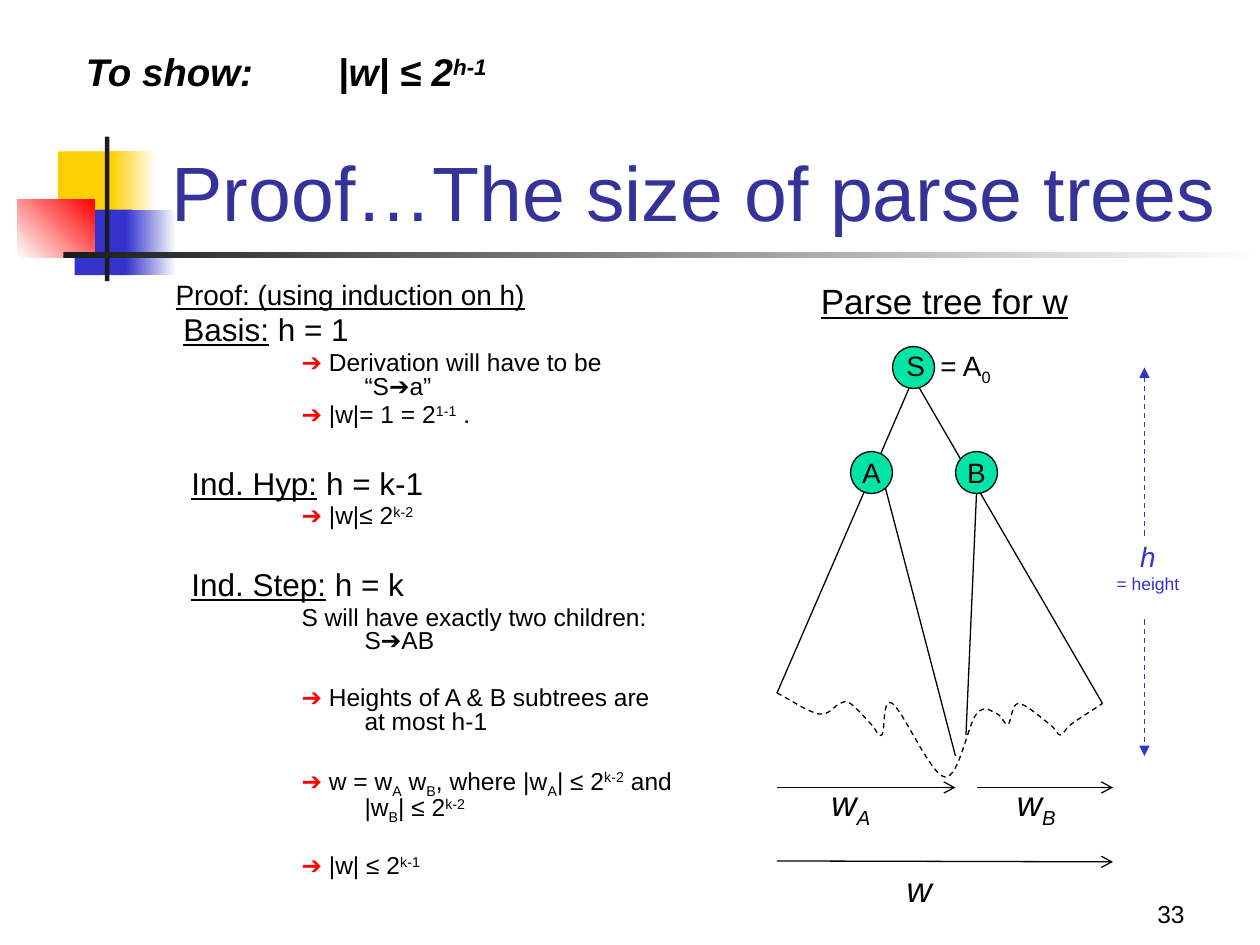
from lxml import etree
from pptx import Presentation
from pptx.dml.color import RGBColor
from pptx.enum import dml, shapes, text
from pptx.oxml.ns import qn
from pptx.util import Pt

BLACK, BLUE, RED, GREEN, WHITE = "000000", "3333CC", "FF0000", "00E4A8", "FFFFFF"
YELLOW, DARK, TITLE_BLUE = "FFCF01", "1C1C1C", "333399"

# Master decoration: box, start colour, end colour, gradient angle
DECORATION = [
    ((33.1, 86.5, 34.5, 37.5), YELLOW, None, 0),
    ((63.5, 86.5, 26, 37.5), YELLOW, WHITE, 0),
    ((42.7, 119.8, 33, 37.5), BLUE, None, 0),
    ((72, 119.8, 28.6, 37.5), BLUE, WHITE, 0),
    ((10, 113.9, 44, 33.3), WHITE, RED, 45),
    ((60, 78, 2.5, 82.7), DARK, None, 0),
    ((36.2, 144, 684, 3.5), DARK, WHITE, 0),
]

# Runs are (text, marks):
# u underline, r red, i italic, b bold, ^ superscript, _ subscript, + wide spacing
ARROW = ("➔", "r")
# Left margin and first-line indent
PROOF, BASIS, HEADING, DETAIL = (48, -48), (46.5, -42), (45, -36), (108, -36)
# Proof paragraphs: indent, size, space before, runs
BODY = [
    (PROOF, 16, 3.2, [("Proof: (using induction on h)", "u")]),
    (BASIS, 18, 3.6, [("Basis:", "u"), (" h = 1", "")]),
    (DETAIL, 14, 2.8, [ARROW, (" Derivation will have to be “S➔a”", "")]),
    (DETAIL, 14, 2.8, [ARROW, (" |w|= 1 = 2", ""), ("1-1", "^"), (" .", "")]),
    (HEADING, 18, 24.4, [("Ind. Hyp:", "u"), (" h = k-1", "")]),
    (DETAIL, 14, 2.8, [ARROW, (" |w|≤ 2", ""), ("k-2", "^")]),
    (HEADING, 18, 24.4, [("Ind. Step:", "u"), (" h = k", "")]),
    (DETAIL, 14, 2.8, [("S will have exactly two children: S➔AB", "")]),
    (DETAIL, 14, 19.2, [ARROW, (" Heights of A & B subtrees are at most h-1", "")]),
    (DETAIL, 14, 19.2, [
        ARROW, (" w = w", ""), ("A", "_"), (" w", ""), ("B", "_"),
        (", where |w", ""), ("A", "_"), ("| ≤ 2", ""), ("k-2", "^"),
        (" and |w", ""), ("B", "_"), ("| ≤ 2", ""), ("k-2", "^")]),
    (DETAIL, 14, 19.2, [ARROW, (" |w| ≤ 2", ""), ("k-1", "^")]),
]

# Labels: box, size, wrap, runs
LABELS = [
    ((511, 492, 29, 31), 20, True, [("w", "i")]),
    ((462, 156, 156, 31), 20, False, [("Parse tree for w", "u")]),
    ((468, 443, 38, 32), 20, False, [("w", "i"), ("A", "i_")]),
    ((574, 443, 38, 32), 20, False, [("w", "i"), ("B", "i_")]),
]
CLAIM = [("To show: \t|w| ≤ 2", "bi"), ("h-1", "bi^")]
CLAIM_TAB = 144

# Tree nodes: corner, left margin of the text, runs
NODES = [
    ((510, 198), 40, [("S", ""), (" ", "+"), ("= A", ""), ("0", "_")]),
    ((486, 258), 0, [("A", "")]),
    ((546, 258), 0, [("B", "")]),
]
NODE_SIZE = 24
ROOT_EDGES = [(522, 216, 444, 396), (522, 216, 630, 402)]
INNER_EDGES = [(506, 279, 546, 432), (558, 282, 552, 420)]
HEIGHT_ARROWS = [(654, 306, 654, 210), (654, 354, 654, 432)]
WORD_ARROWS = [(444, 450, 546, 450), (558, 450, 636, 450), (444, 492, 636, 492.5)]
LEAVES = [(444, 396), (468, 408), (480, 402), (486, 402), (498, 414), (504, 420),
          (510, 402), (540, 444), (558, 408), (570, 408), (576, 414), (582, 402),
          (600, 414), (606, 420), (612, 414), (630, 402)]


def color(value):
    return RGBColor.from_string(value)


def points(values):
    return [Pt(value) for value in values]


def set_indent(paragraph, margin, indent=0):
    properties = paragraph._p.get_or_add_pPr()
    properties.set("marL", str(Pt(margin)))
    properties.set("indent", str(Pt(indent)))


def add_runs(paragraph, runs, size, ink=BLACK):
    for words, marks in runs:
        run = paragraph.add_run()
        run.text = words
        font = run.font
        font.name, font.size = "Arial", Pt(size)
        font.color.rgb = color(RED if "r" in marks else ink)
        font.underline, font.italic, font.bold = "u" in marks, "i" in marks, "b" in marks
        baseline = 30000 if "^" in marks else -25000 if "_" in marks else 0
        if baseline:
            run._r.get_or_add_rPr().set("baseline", str(baseline))
        if "+" in marks:
            run._r.get_or_add_rPr().set("spc", "445")


def add_text(box, wrap=True, anchor=text.MSO_ANCHOR.TOP):
    frame = slide.shapes.add_textbox(*points(box)).text_frame
    frame.word_wrap, frame.vertical_anchor = wrap, anchor
    return frame


def add_line(ends, ink=BLACK, dashed=False, head=None):
    line = slide.shapes.add_connector(shapes.MSO_CONNECTOR.STRAIGHT, *points(ends))
    line.line.color.rgb, line.line.width = color(ink), Pt(0.75)
    if dashed:
        line.line.dash_style = dml.MSO_LINE.DASH
    if head:
        etree.SubElement(line.line._get_or_add_ln(), qn("a:tailEnd")).set("type", head)
    etree.SubElement(line._element.spPr, qn("a:effectLst"))


def add_curve(anchors):
    """Draw a freeform through the anchors, its segments turned into smooth curves."""
    anchors = [tuple(points(anchor)) for anchor in anchors]
    builder = slide.shapes.build_freeform(*anchors[0])
    builder.add_line_segments(anchors[1:], close=False)
    curve = builder.convert_to_shape()
    first = tuple(2 * a - b for a, b in zip(anchors[0], anchors[1]))
    last = tuple(2 * a - b for a, b in zip(anchors[-1], anchors[-2]))
    padded = [first, *anchors, last]
    segments = list(curve._element.iter(qn("a:lnTo")))
    for segment, (before, start, end, after) in zip(
            segments, zip(padded, padded[1:], padded[2:], padded[3:])):
        leaving = [s + (e - b) / 6 for b, s, e in zip(before, start, end)]
        arriving = [e - (a - s) / 6 for s, e, a in zip(start, end, after)]
        segment.tag = qn("a:cubicBezTo")
        for position, (x, y) in enumerate((leaving, arriving)):
            control = etree.Element(qn("a:pt"))
            control.set("x", str(round(x - curve.left)))
            control.set("y", str(round(y - curve.top)))
            segment.insert(position, control)
    return curve


presentation = Presentation()
presentation.slide_width, presentation.slide_height = Pt(720), Pt(540)
slide = presentation.slides.add_slide(presentation.slide_layouts[6])

for box, start, end, angle in DECORATION:
    shape = slide.shapes.add_shape(shapes.MSO_SHAPE.RECTANGLE, *points(box))
    shape.shadow.inherit = False
    shape.line.fill.background()
    if end:
        shape.fill.gradient()
        shape.fill.gradient_angle = angle
        for stop, value in zip(shape.fill.gradient_stops, (start, end)):
            stop.color.rgb = color(value)
    else:
        shape.fill.solid()
        shape.fill.fore_color.rgb = color(start)

number = add_text((534, 498, 150, 36), anchor=text.MSO_ANCHOR.BOTTOM).paragraphs[0]
number.alignment = text.PP_ALIGN.RIGHT
add_runs(number, [("33", "")], 14)
title = add_text((91, 48.8, 613, 90), anchor=text.MSO_ANCHOR.BOTTOM).paragraphs[0]
add_runs(title, [("Proof…The size of parse trees", "")], 44, TITLE_BLUE)

body = add_text((93.2, 159, 300, 324))
for index, (indents, size, before, runs) in enumerate(BODY):
    paragraph = body.add_paragraph() if index else body.paragraphs[0]
    paragraph.line_spacing, paragraph.space_before = 0.8, Pt(before)
    set_indent(paragraph, *indents)
    add_runs(paragraph, runs, size)

for edge in ROOT_EDGES:
    add_line(edge)

leaves = add_curve(LEAVES)
leaves.shadow.inherit = False
leaves.fill.background()
leaves.line.color.rgb, leaves.line.width = color(BLACK), Pt(0.75)
leaves.line.dash_style = dml.MSO_LINE.DASH

for corner, margin, runs in NODES:
    node = slide.shapes.add_shape(
        shapes.MSO_SHAPE.OVAL, *points((*corner, NODE_SIZE, NODE_SIZE)))
    node.shadow.inherit = False
    node.fill.solid()
    node.fill.fore_color.rgb = color(GREEN)
    node.line.color.rgb, node.line.width = color(BLACK), Pt(0.75)
    node.text_frame.word_wrap = False
    node.text_frame.vertical_anchor = text.MSO_ANCHOR.MIDDLE
    paragraph = node.text_frame.paragraphs[0]
    paragraph.alignment = text.PP_ALIGN.CENTER
    set_indent(paragraph, margin)
    add_runs(paragraph, runs, 16)

for edge in INNER_EDGES:
    add_line(edge)
for ends in HEIGHT_ARROWS:
    add_line(ends, BLUE, dashed=True, head="triangle")
for ends in WORD_ARROWS:
    add_line(ends, head="arrow")

for box, size, wrap, runs in LABELS:
    add_runs(add_text(box, wrap).paragraphs[0], runs, size)

claim = add_text((42, 24, 248, 58), False).paragraphs[0]
tabs = etree.SubElement(claim._p.get_or_add_pPr(), qn("a:tabLst"))
etree.SubElement(tabs, qn("a:tab"), pos=str(Pt(CLAIM_TAB)), algn="l")
add_runs(claim, CLAIM, 22)

height = add_text((631, 304.6, 50, 38), False).paragraphs[0]
height.alignment = text.PP_ALIGN.CENTER
add_runs(height, [("h", "i")], 16, BLUE)
height.add_line_break()
etree.SubElement(height._p.find(qn("a:br")), qn("a:rPr"), sz="1600")
add_runs(height, [("= height", "")], 10, BLUE)

presentation.save("out.pptx")
